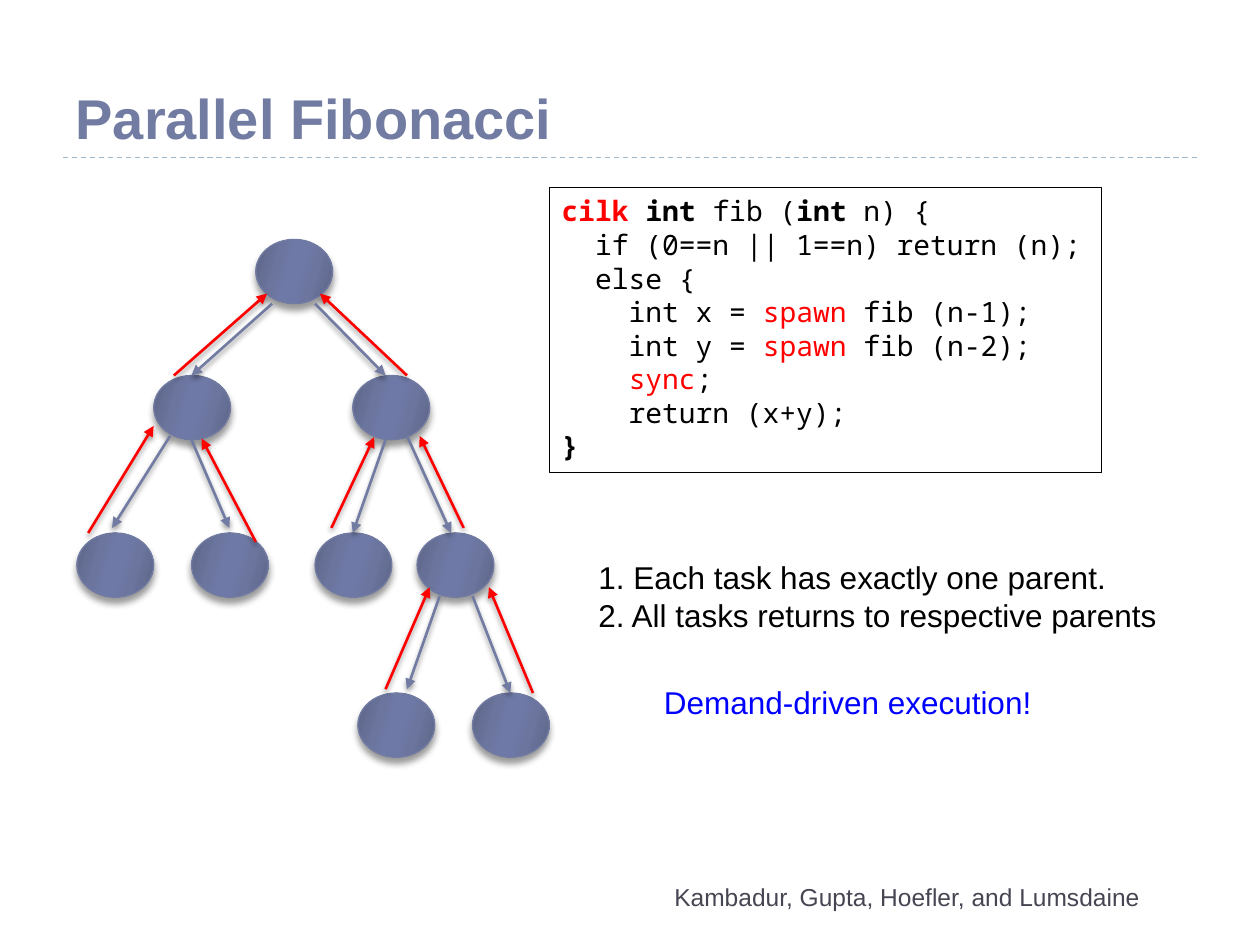
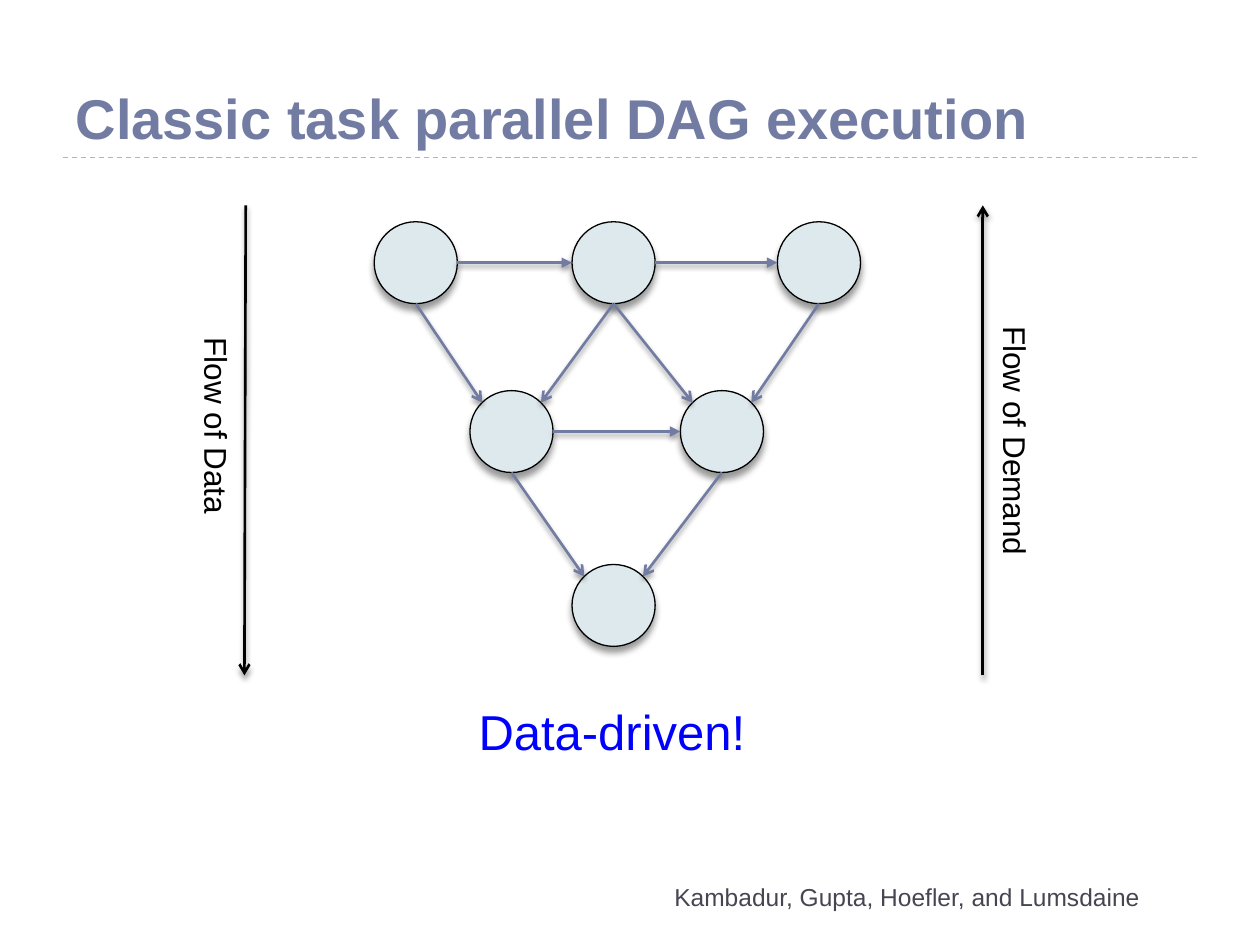
from math import sqrt

from lxml import etree
from pptx import Presentation
from pptx import util as u
from pptx.dml.color import RGBColor
from pptx.enum import dml, shapes as kinds, text
from pptx.oxml import ns

PX = 9144  # EMU per px, 100 px to the inch
SLIDE_SIZE = (1000, 750)

SLATE = RGBColor(0x72, 0x7C, 0xA3)
RULE = RGBColor(0x9F, 0xB8, 0xCD)
DARK = RGBColor(0x46, 0x46, 0x53)
PALE = RGBColor(0xDD, 0xE9, 0xEC)
RED = RGBColor(0xFF, 0, 0)
BLUE = RGBColor(0, 0, 0xFF)
BLACK = RGBColor(0, 0, 0)
NODE_GRADIENT = [(0, "5D6585"), (30, "6B759E"), (45, "6E79A7"),
                 (55, "6E79A7"), (73, "6B759E"), (100, "5D6585")]
GRADIENT_ANGLE = 16

SANS, MONO = "Arial", "Noto Sans Mono"
NODE_SHADOW = (4, 3.4)  # blur and distance in points
LINE_SHADOW = (3, 2)

TITLE_FORMAT = dict(name=SANS, size=u.Pt(32), bold=True, color=SLATE)
FOOTER_FORMAT = dict(name=SANS, size=u.Pt(14), color=DARK)
BODY_FORMAT = dict(name=SANS, size=u.Pt(18), color=BLACK)
CODE_FORMAT = dict(name=MONO, size=u.Pt(16), bold=False, color=BLACK)
BOLD, KEYWORD = dict(bold=True), dict(color=RED)

FOOTER = "Kambadur, Gupta, Hoefler, and Lumsdaine"
TITLE_BOX = (50, 17, 900, 108)
FOOTER_BOX = (490, 695, 460, 40)
TITLE_RULE = (50, 125, 950, 125)

# Fibonacci slide
FIB_CODE = [
    [("cilk ", BOLD | KEYWORD), ("int ", BOLD), ("fib (", {}), ("int ", BOLD), ("n) {", {})],
    [("  if (0==n || 1==n) return (n);", {})],
    [("  else {", {})],
    [("    int x = ", {}), ("spawn ", KEYWORD), ("fib (n-1);", {})],
    [("    int y = ", {}), ("spawn ", KEYWORD), ("fib (n-2);", {})],
    [("    ", {}), ("sync", KEYWORD), (";", {})],
    [("    return (x+y);", {})],
    [("}", BOLD)],
]
TASK_RULES = ["1. Each task has exactly one parent.",
              "2. All tasks returns to respective parents"]
TASK_SIZE = (61, 51)
TASK_LEVELS = {190: [203], 298: [122, 280], 423: [61, 152, 250, 331], 550: [284, 375]}
SPAWN_ARROWS = [
    (216, 241, 152, 298), (250, 241, 306, 298),
    (135, 346, 89, 419), (152, 349, 182, 419),
    (306, 349, 280, 423), (323, 346, 358, 423),
    (349, 473, 323, 547), (375, 473, 405, 550),
]
RETURN_ARROWS = [
    (138, 298, 212, 233), (323, 298, 254, 233),
    (70, 423, 122, 338), (203, 430, 160, 348),
    (263, 419, 297, 347), (368, 419, 333, 346),
    (306, 547, 341, 466), (423, 550, 388, 466),
]

# DAG slide
DAG_SIZE = (66, 65)
DAG_NODES = {"a": (297, 176), "b": (454, 176), "c": (617, 176),
             "d": (373, 310), "e": (540, 310), "f": (454, 448)}
ROW_EDGES = ["ab", "bc", "de"]
DOWN_EDGES = ["ad", "bd", "be", "ce", "df", "ef"]
FLOWS = [("Flow of Data", (195, 163, 194, 536), (91, 319, 162, 40)),
         ("Flow of Demand", (780, 536, 780, 163), (704, 331, 204, 40))]


def emu(lengths):
    return [round(length * PX) for length in lengths]


def add_xml(parent, tag, **attributes):
    return etree.SubElement(parent, ns.qn(tag),
                            {name: str(value) for name, value in attributes.items()})


def add_shadow(properties, blur, distance):
    """Give a shape's properties a soft shadow falling straight down."""
    for effects in properties.findall(ns.qn("a:effectLst")):
        properties.remove(effects)
    effects = add_xml(properties, "a:effectLst")
    shadow = add_xml(effects, "a:outerShdw", blurRad=round(blur * 12700),
                     dist=round(distance * 12700), dir=90 * 60000, rotWithShape=0)
    add_xml(add_xml(shadow, "a:srgbClr", val=BLACK), "a:alpha", val=40000)


def add_line(shapes, ends, color, width=1.5, head=None):
    line = shapes.add_connector(kinds.MSO_CONNECTOR.STRAIGHT, *emu(ends))
    line.line.color.rgb = color
    line.line.width = u.Pt(width)
    properties = line._element.spPr
    if head:
        add_xml(line.line._get_or_add_ln(), "a:tailEnd", type=head)
        add_shadow(properties, *LINE_SHADOW)
    else:
        add_xml(properties, "a:effectLst")
    return line


def format_font(font, values):
    for name, value in values.items():
        if name == "color":
            font.color.rgb = value
        else:
            setattr(font, name, value)


def write(frame, paragraphs, base, **paragraph_format):
    """Fill a frame; each paragraph is a string or a list of (text, format) runs."""
    for index, runs in enumerate(paragraphs):
        paragraph = frame.paragraphs[0] if index == 0 else frame.add_paragraph()
        for name, value in paragraph_format.items():
            setattr(paragraph, name, value)
        for words, changes in [(runs, {})] if isinstance(runs, str) else runs:
            run = paragraph.add_run()
            run.text = words
            format_font(run.font, base | changes)


def add_text(shapes, box, paragraphs, base, wrap=False, **paragraph_format):
    shape = shapes.add_textbox(*emu(box))
    frame = shape.text_frame
    frame.word_wrap = wrap
    frame.auto_size = text.MSO_AUTO_SIZE.NONE if wrap else text.MSO_AUTO_SIZE.SHAPE_TO_FIT_TEXT
    write(frame, paragraphs, base, **paragraph_format)
    return shape


def add_node(shapes, corner, size, outline):
    node = shapes.add_shape(kinds.MSO_SHAPE.OVAL, *emu(corner + size))
    node.shadow.inherit = False
    node.line.color.rgb = outline
    node.line.width = u.Pt(0.75)
    add_shadow(node._element.spPr, *NODE_SHADOW)
    return node


def fill_gradient(node):
    node.fill.gradient()
    gradient = node._element.spPr.find(ns.qn("a:gradFill"))
    stops = gradient.find(ns.qn("a:gsLst"))
    for stop in list(stops):
        stops.remove(stop)
    for position, color in NODE_GRADIENT:
        add_xml(add_xml(stops, "a:gs", pos=position * 1000), "a:srgbClr", val=color)
    gradient.find(ns.qn("a:lin")).set("ang", str(GRADIENT_ANGLE * 60000))


def add_slide(presentation, heading):
    """Start a slide with the shared title, dashed rule and footer."""
    slide = presentation.slides.add_slide(presentation.slide_layouts[5])
    title = slide.shapes.title
    title.left, title.top, title.width, title.height = emu(TITLE_BOX)
    title.text_frame.vertical_anchor = text.MSO_ANCHOR.BOTTOM
    title.text_frame.auto_size = text.MSO_AUTO_SIZE.NONE
    write(title.text_frame, [heading], TITLE_FORMAT, alignment=text.PP_ALIGN.LEFT)
    rule = add_line(slide.shapes, TITLE_RULE, RULE, width=0.75)
    rule.line.dash_style = dml.MSO_LINE.DASH
    add_text(slide.shapes, FOOTER_BOX, [FOOTER], FOOTER_FORMAT, wrap=True,
             alignment=text.PP_ALIGN.CENTER)
    return slide


def build_fibonacci(presentation):
    shapes = add_slide(presentation, "Parallel Fibonacci").shapes
    code = add_text(shapes, (436, 149, 438, 226), FIB_CODE, CODE_FORMAT,
                    line_spacing=u.Pt(19.2))
    code.line.color.rgb = BLACK
    code.line.width = u.Pt(0.75)

    rules = add_text(shapes, (465, 438, 468, 101), TASK_RULES, BODY_FORMAT, wrap=True)
    for paragraph in rules.text_frame.paragraphs:
        properties = paragraph._p.get_or_add_pPr()
        properties.set("marL", str(38 * PX))
        properties.set("indent", str(-38 * PX))

    for top, lefts in TASK_LEVELS.items():
        for left in lefts:
            fill_gradient(add_node(shapes, (left, top), TASK_SIZE, SLATE))
    for color, arrows in ((SLATE, SPAWN_ARROWS), (RED, RETURN_ARROWS)):
        for ends in arrows:
            add_line(shapes, ends, color, head="triangle")
    add_text(shapes, (517, 537, 315, 40), ["Demand-driven execution!"],
             BODY_FORMAT | dict(color=BLUE))


def build_dag(presentation):
    shapes = add_slide(presentation, "Classic task parallel DAG execution").shapes
    half_width, half_height = (length / 2 for length in DAG_SIZE)
    centers = {name: (left + half_width, top + half_height)
               for name, (left, top) in DAG_NODES.items()}
    for corner in DAG_NODES.values():
        node = add_node(shapes, corner, DAG_SIZE, BLACK)
        node.fill.solid()
        node.fill.fore_color.rgb = PALE

    for start, end in ROW_EDGES:
        (x1, y1), (x2, y2) = centers[start], centers[end]
        add_line(shapes, (x1 + half_width, y1, x2 - half_width, y2), SLATE, head="triangle")
    for start, end in DOWN_EDGES:
        (x1, y1), (x2, y2) = centers[start], centers[end]
        side = -1 if x1 < x2 else 1
        ends = (x1, y1 + half_height,
                x2 + side * half_width / sqrt(2), y2 - half_height / sqrt(2))
        add_line(shapes, ends, SLATE, head="arrow")

    for label, ends, box in FLOWS:
        flow = shapes.add_group_shape().shapes
        add_line(flow, ends, BLACK, head="arrow")
        add_text(flow, box, [label], BODY_FORMAT).rotation = 90
    add_text(shapes, (370, 552, 234, 57), ["Data-driven!"],
             BODY_FORMAT | dict(size=u.Pt(28), color=BLUE))


def main():
    presentation = Presentation()
    presentation.slide_width, presentation.slide_height = emu(SLIDE_SIZE)
    build_fibonacci(presentation)
    build_dag(presentation)
    presentation.save("out.pptx")


if __name__ == "__main__":
    main()
